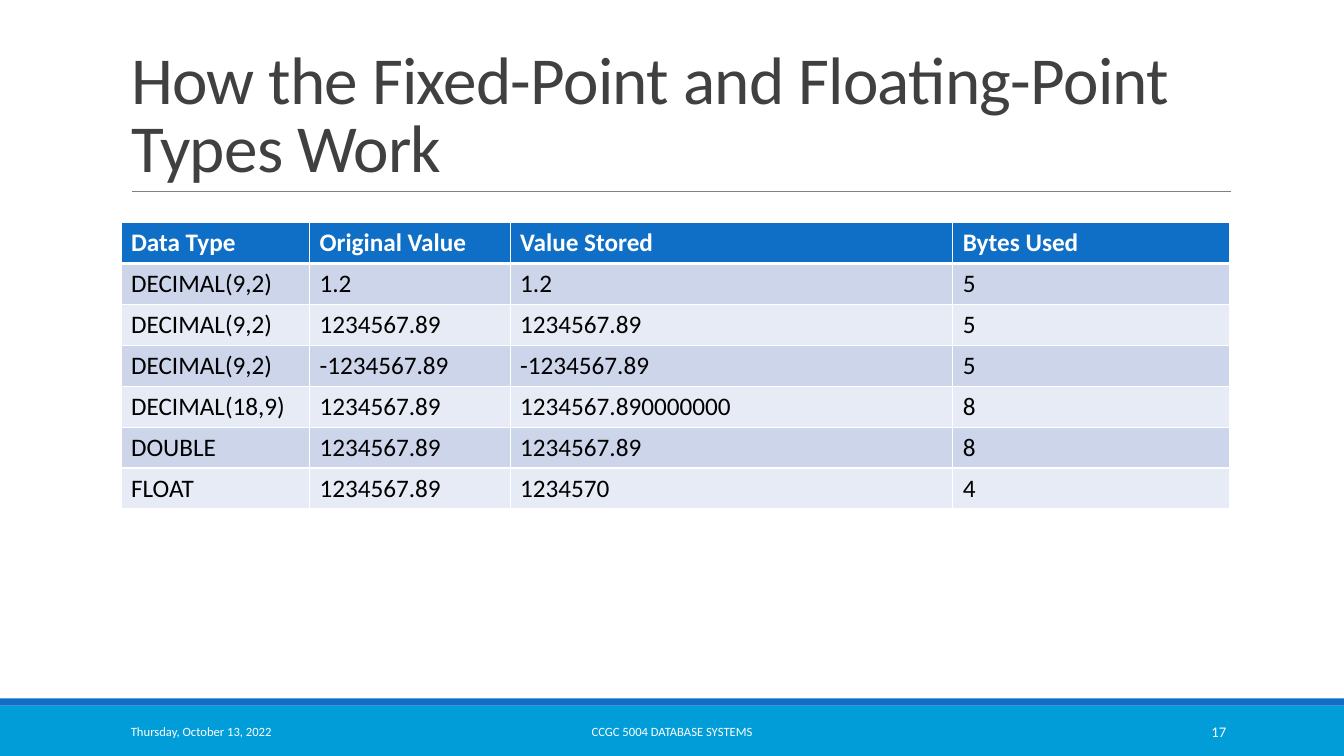
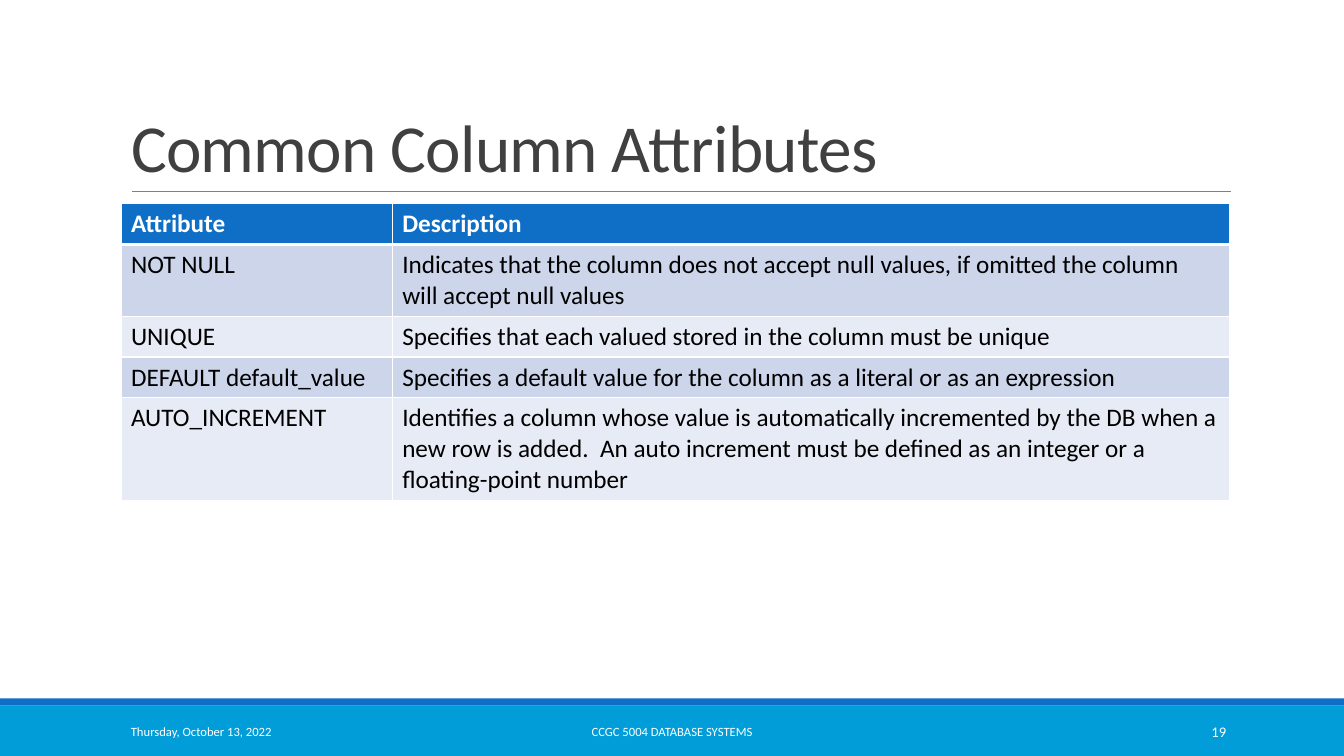
from lxml import etree
from pptx import Presentation
from pptx import util as u
from pptx.dml.color import RGBColor
from pptx.enum import shapes, text
from pptx.oxml import ns

WIDTH, HEIGHT = 13.33, 7.5
LEFT, CONTENT_WIDTH = 1.2, 11
FOOTER_TOP, FOOTER_HEIGHT = 7.06, 0.4
ROW_HEIGHT, EXTRA_LINE = 0.4, 0.3
FONT = "Calibri"
BLUE, CYAN, WHITE, BLACK = "0F6FC6", "009DD9", "FFFFFF", "000000"
TITLE_GREY, RULE_GREY = "404040", "808080"
ROW_FILLS = ("CCD5EA", "E7EBF5")
DATE = "Thursday, October 13, 2022"
COURSE = "CCGC 5004 DATABASE SYSTEMS"
ALIGN = text.PP_ALIGN
ANCHOR = text.MSO_ANCHOR

SLIDES = [
    {
        "title": "How the Fixed-Point and Floating-Point Types Work",
        "number": 17,
        "top": 2.21,
        "columns": (1.87, 1.99, 4.39, 2.75),
        "lines": (1,) * 7,
        "rows": [
            ("Data Type", "Original Value", "Value Stored", "Bytes Used"),
            ("DECIMAL(9,2)", "1.2", "1.2", "5"),
            ("DECIMAL(9,2)", "1234567.89", "1234567.89", "5"),
            ("DECIMAL(9,2)", "-1234567.89", "-1234567.89", "5"),
            ("DECIMAL(18,9)", "1234567.89", "1234567.890000000", "8"),
            ("DOUBLE", "1234567.89", "1234567.89", "8"),
            ("FLOAT", "1234567.89", "1234570", "4"),
        ],
    },
    {
        "title": "Common Column Attributes",
        "number": 19,
        "top": 2.02,
        "columns": (2.69, 8.31),
        "lines": (1, 2, 1, 1, 3),
        "rows": [
            ("Attribute", "Description"),
            ("NOT NULL", "Indicates that the column does not accept null values, "
                         "if omitted the column will accept null values"),
            ("UNIQUE", "Specifies that each valued stored in the column must be unique"),
            ("DEFAULT default_value", "Specifies a default value for the column as a "
                                      "literal or as an expression"),
            ("AUTO_INCREMENT", "Identifies a column whose value is automatically "
                               "incremented by the DB when a new row is added.  An auto "
                               "increment must be defined as an integer or a "
                               "floating-point number"),
        ],
    },
]


def color(value):
    return RGBColor.from_string(value)


def inches(*values):
    return [u.Inches(value) for value in values]


def write(frame, words, size=18, ink=BLACK, bold=False, align=ALIGN.LEFT,
          anchor=ANCHOR.TOP, leading=None, tracking=None):
    """Put one formatted paragraph in a text frame; tracking is in points."""
    frame.word_wrap = True
    frame.vertical_anchor = anchor
    para = frame.paragraphs[0]
    para.alignment = align
    if leading:
        para.line_spacing = leading
    span = para.add_run()
    span.text = words
    font = span.font
    font.name, font.size, font.bold = FONT, u.Pt(size), bold
    font.color.rgb = color(ink)
    if tracking:
        span._r.get_or_add_rPr().set("spc", str(int(tracking * 100)))


def add_band(page, top, height, fill):
    band = page.shapes.add_shape(shapes.MSO_SHAPE.RECTANGLE,
                                 *inches(0, top, WIDTH, height))
    band.shadow.inherit = False
    band.fill.solid()
    band.fill.fore_color.rgb = color(fill)
    band.line.fill.background()


def add_title_rule(page):
    rule = page.shapes.add_connector(shapes.MSO_CONNECTOR.STRAIGHT,
                                     *inches(1.31, 1.9, 12.21, 1.9))
    rule.line.color.rgb = color(RULE_GREY)
    rule.line.width = u.Pt(0.5)
    etree.SubElement(rule._element.spPr, ns.qn("a:effectLst"))


def add_title(page, words):
    title = page.shapes.title
    title.left, title.top, title.width, title.height = inches(
        LEFT, 0.31, CONTENT_WIDTH, 1.59)
    title.text_frame.auto_size = text.MSO_AUTO_SIZE.NONE
    write(title.text_frame, words, size=48, ink=TITLE_GREY,
          anchor=ANCHOR.BOTTOM, leading=0.85, tracking=-0.5)


def add_footer(page, number):
    parts = [
        (LEFT, 2.7, DATE, 9, ALIGN.LEFT),
        (4.03, 5.27, COURSE, 9, ALIGN.CENTER),
        (10.83, 1.43, str(number), 10.5, ALIGN.RIGHT),
    ]
    for left, width, words, size, align in parts:
        box = page.shapes.add_textbox(*inches(left, FOOTER_TOP, width, FOOTER_HEIGHT))
        write(box.text_frame, words, size=size, ink=WHITE, align=align,
              anchor=ANCHOR.MIDDLE)


def add_borders(cell, **widths):
    """Draw white cell borders, with widths in points for sides L, R, T and B."""
    properties = cell._tc.get_or_add_tcPr()
    for side in "LRTB":
        line = etree.SubElement(properties, ns.qn(f"a:ln{side}"),
                                w=str(u.Pt(widths.get(side, 1))))
        fill = etree.SubElement(line, ns.qn("a:solidFill"))
        etree.SubElement(fill, ns.qn("a:srgbClr"), val=WHITE)


def add_data_table(page, top, columns, lines, rows):
    heights = [ROW_HEIGHT + EXTRA_LINE * (count - 1) for count in lines]
    table = page.shapes.add_table(
        len(rows), len(columns),
        *inches(LEFT, top, CONTENT_WIDTH, sum(heights))).table
    for column, width in zip(table.columns, columns):
        column.width = u.Inches(width)
    for row, height in zip(table.rows, heights):
        row.height = u.Inches(height)
    for r, values in enumerate(rows):
        header = r == 0
        for c, words in enumerate(values):
            cell = table.cell(r, c)
            add_borders(cell, T=3 if r == 1 else 1, B=3 if header else 1)
            cell.fill.solid()
            cell.fill.fore_color.rgb = color(BLUE if header else ROW_FILLS[(r - 1) % 2])
            write(cell.text_frame, words, ink=WHITE if header else BLACK, bold=header)


def add_page(deck, content):
    page = deck.slides.add_slide(deck.slide_layouts.get_by_name("Title Only"))
    add_band(page, 7, 0.5, CYAN)
    add_band(page, 6.93, 0.07, BLUE)
    add_title_rule(page)
    add_title(page, content["title"])
    add_data_table(page, content["top"], content["columns"], content["lines"],
                   content["rows"])
    add_footer(page, content["number"])


def main():
    deck = Presentation()
    deck.slide_width, deck.slide_height = inches(WIDTH, HEIGHT)
    for content in SLIDES:
        add_page(deck, content)
    deck.save("out.pptx")


if __name__ == "__main__":
    main()
